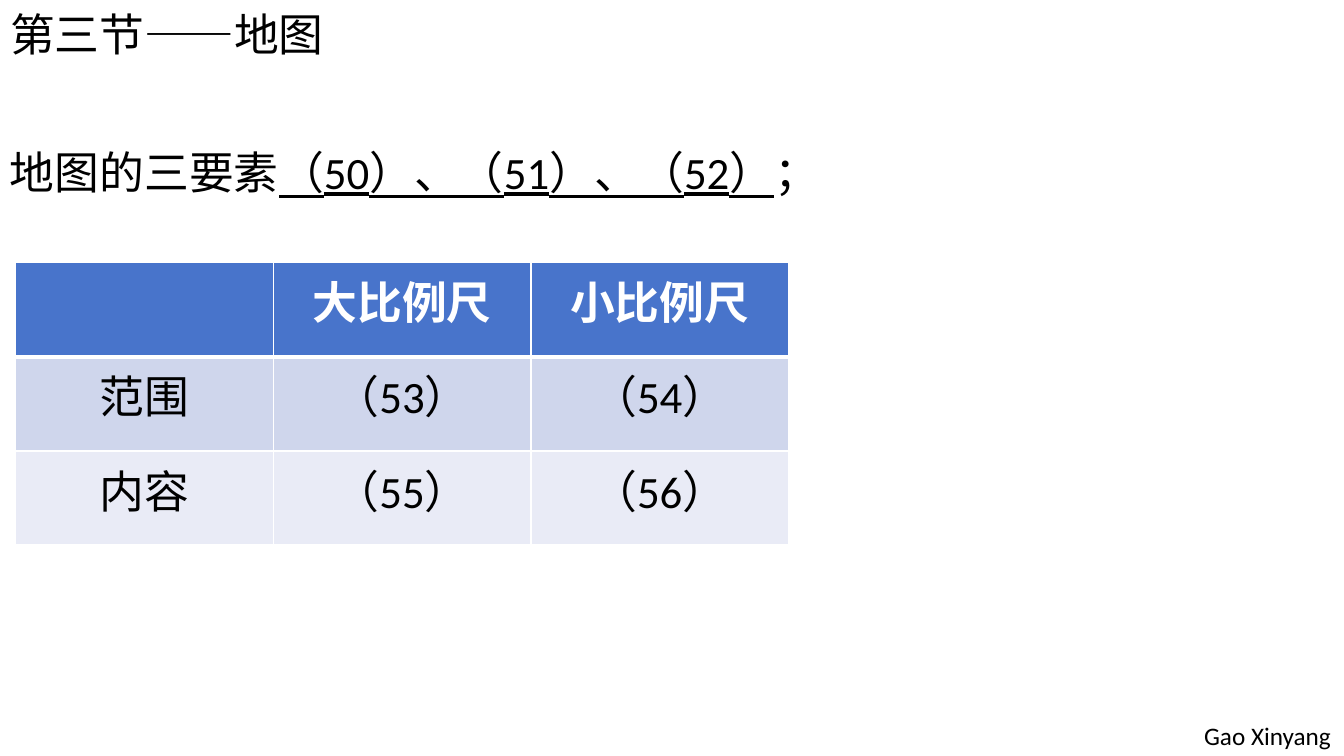
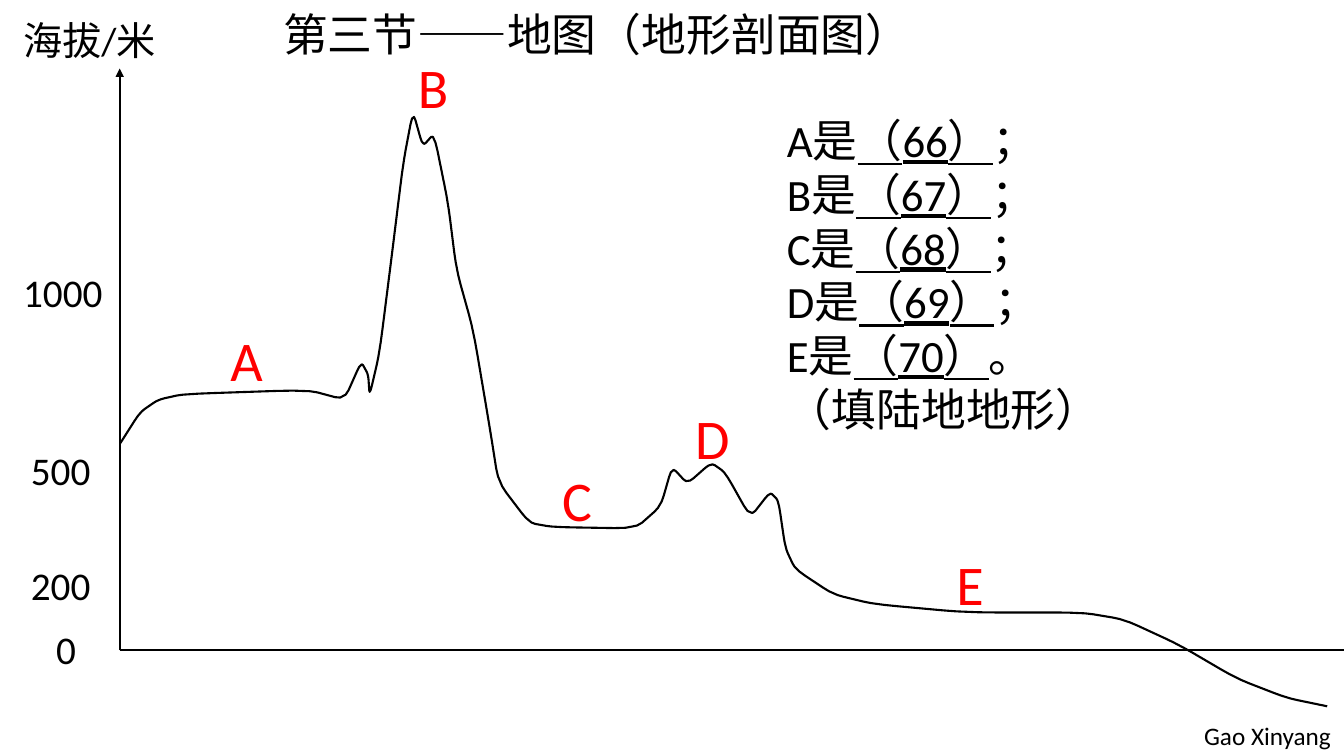
"""Build two map-lesson slides: scale table and terrain profile."""
from dataclasses import dataclass
from itertools import chain, count, pairwise

from lxml.etree import SubElement
from pptx import Presentation
from pptx.dml.color import RGBColor
from pptx.enum.shapes import MSO_CONNECTOR as CONN
from pptx.enum.text import MSO_ANCHOR as ANCHOR, MSO_AUTO_SIZE as AUTO, PP_ALIGN as ALIGN
from pptx.oxml.ns import qn
from pptx.util import Pt

W, H = 960, 540
BODY_SIZE, LABEL_SIZE, LETTER_SIZE, FOOTER_SIZE = 32, 28, 40, 18
LINE_BOX = 46
AXIS_X, AXIS_TOP, SEA_LEVEL = 85.5, 49, 464.5
LINE_WIDTH = 1.5
COLORS = {
    "ink": "000000",
    "white": "FFFFFF",
    "mark": "FF0000",
    "header": "4874CB",
    "band1": "CFD6EC",
    "band2": "E9EBF6",
}

Point = tuple[float, float]


@dataclass
class Label:
    """A short text with its box and look."""
    text: str
    left: float
    top: float
    width: float
    height: float
    size: float
    color: str = "ink"
    wrap: bool = True


@dataclass
class Landform:
    """A lettered stretch of terrain: (x, height above sea level) corners."""
    letter: str
    label_left: float
    label_top: float
    corners: list[Point]


FOOTER = Label("Gao Xinyang", 853, 511, 107, 29, FOOTER_SIZE, wrap=False)

PLATEAU = Landform("A", 157.5, 229, [
    (86, 148), (100, 170), (113, 179), (131, 183), (220, 186),
    (246, 179), (258, 206), (263, 197), (264, 182)])
MOUNTAIN = Landform("B", 291.5, 34, [
    (271, 212), (280, 283), (288, 348), (295, 385), (302, 360), (310, 369),
    (320, 320), (326, 272), (338, 229), (350, 158), (356, 120)])
BASIN = Landform("C", 394.5, 329, [(378, 91), (395, 88), (454, 87), (472, 103)])
HILLS = Landform("D", 489.5, 284.5, [
    (480, 131), (491, 119), (508, 134), (518, 127), (536, 95),
    (550, 113), (556, 107), (561, 73), (568, 58)])
PLAIN = Landform("E", 676, 389, [
    (595, 40), (624, 33), (690, 27), (773, 27), (803, 22),
    (842, 4), (883, -20), (919, -34), (948, -40)])
LANDFORMS = [PLATEAU, MOUNTAIN, BASIN, HILLS, PLAIN]


def rgb(name: str) -> RGBColor:
    """Look up a palette colour."""
    return RGBColor.from_string(COLORS[name])


def blank(number: int) -> str:
    """Write a numbered blank to fill in."""
    return f"（{number}）"


def add_run(p, text: str, size: float, color: str = "ink", font: str = "Calibri",
            bold: bool = False, underline: bool = False) -> None:
    """Append one formatted run."""
    r = p.add_run()
    r.text = text
    r.font.name, r.font.size = font, Pt(size)
    r.font.bold, r.font.underline = bold, underline
    r.font.color.rgb = rgb(color)


def add_box(s, left: float, top: float, width: float, height: float, wrap: bool = True):
    """Add an empty text box and return its text frame."""
    tf = s.shapes.add_textbox(Pt(left), Pt(top), Pt(width), Pt(height)).text_frame
    tf.word_wrap = wrap
    return tf


def add_label(s, label: Label) -> None:
    """Draw a label."""
    tf = add_box(s, label.left, label.top, label.width, label.height, label.wrap)
    add_run(tf.paragraphs[0], label.text, label.size, label.color)


def add_questions(tf, lines: list[list[str]]) -> None:
    """Write lines of stem, underlined blanks and end mark."""
    for i, parts in enumerate(lines):
        p = tf.add_paragraph() if i else tf.paragraphs[0]
        for j, text in enumerate(parts):
            add_run(p, text, BODY_SIZE, underline=j == 1)


def new_slide(prs, title: str, left: float):
    """Add a slide with its title and footer."""
    s = prs.slides.add_slide(prs.slide_layouts[5])
    sp = s.shapes.title
    sp.left, sp.top, sp.width, sp.height = Pt(left), Pt(1.5), Pt(W - left), Pt(LINE_BOX)
    tf = sp.text_frame
    tf.word_wrap, tf.auto_size, tf.vertical_anchor = True, AUTO.NONE, ANCHOR.TOP
    p = tf.paragraphs[0]
    p.alignment, p.line_spacing = ALIGN.LEFT, 1.0
    add_run(p, title, BODY_SIZE, font="Arial")
    add_label(s, FOOTER)
    return s


def style_cell(cell, fill: str, bottom: float) -> None:
    """Fill a cell and give it white borders."""
    tc_pr = cell._tc.get_or_add_tcPr()
    for tag, width in [("lnL", 1), ("lnR", 1), ("lnT", 1), ("lnB", bottom)]:
        ln = SubElement(tc_pr, qn(f"a:{tag}"), w=str(Pt(width)))
        SubElement(SubElement(ln, qn("a:solidFill")), qn("a:srgbClr"), val=COLORS["white"])
    cell.fill.solid()
    cell.fill.fore_color.rgb = rgb(fill)


def add_scale_table(s) -> None:
    """Draw the table comparing map scales, numbering its blanks in order."""
    scales, topics, numbers = ["大比例尺", "小比例尺"], ["范围", "内容"], count(53)
    rows = [["", *scales]]
    rows += [[topic, *(blank(next(numbers)) for _ in scales)] for topic in topics]
    frame = s.shapes.add_table(len(rows), len(rows[0]), Pt(11.25), Pt(187.75), Pt(552), Pt(201.6))
    for i, (fill, texts) in enumerate(zip(["header", "band1", "band2"], rows)):
        head = i == 0
        for j, text in enumerate(texts):
            cell = frame.table.cell(i, j)
            style_cell(cell, fill, 3 if head else 1)
            p = cell.text_frame.paragraphs[0]
            p.alignment = ALIGN.CENTER
            if text:
                add_run(p, text, BODY_SIZE, "white" if head else "ink", bold=head)


def add_axis(s, x2: float, y2: float, arrow: bool = False) -> None:
    """Draw an axis from the origin, with an arrowhead at its end if asked."""
    axis = s.shapes.add_connector(CONN.STRAIGHT, Pt(AXIS_X), Pt(SEA_LEVEL), Pt(x2), Pt(y2))
    axis.line.color.rgb, axis.line.width = rgb("ink"), Pt(LINE_WIDTH)
    if arrow:
        SubElement(axis.line._get_or_add_ln(), qn("a:tailEnd"),
                   type="triangle", w="med", len="med")
    SubElement(axis._element.spPr, qn("a:effectLst"))


def round_corners(points: list[Point], cut: float = 0.15) -> list[Point]:
    """Replace each inner corner by two points, a share of each side away."""
    inner = []
    for (x1, y1), (x2, y2) in pairwise(points):
        dx, dy = cut * (x2 - x1), cut * (y2 - y1)
        inner += [(x1 + dx, y1 + dy), (x2 - dx, y2 - dy)]
    return [points[0], *inner[1:-1], points[-1]]


def add_profile(s) -> None:
    """Join the landforms into one rounded outline."""
    outline = list(chain.from_iterable(form.corners for form in LANDFORMS))
    for _ in range(2):
        outline = round_corners(outline)
    start, *rest = [(Pt(x), Pt(SEA_LEVEL - height)) for x, height in outline]
    builder = s.shapes.build_freeform(*start)
    builder.add_line_segments(rest, close=False)
    sp = builder.convert_to_shape()
    sp.shadow.inherit = False
    sp.fill.background()
    sp.line.color.rgb, sp.line.width = rgb("ink"), Pt(LINE_WIDTH)


def add_profile_labels(s) -> None:
    """Label the height axis and the landforms."""
    add_label(s, Label("海拔/米", 9.5, 8, 113, 41, LABEL_SIZE))
    for text, left, top in [("1000", 9.5, 188), ("500", 15, 315.5),
                            ("200", 15, 397.5), ("0", 33, 443)]:
        add_label(s, Label(text, left, top, 77, 35, LABEL_SIZE))
    for form in LANDFORMS:
        add_label(s, Label(form.letter, form.label_left, form.label_top,
                           37.5, 55.5, LETTER_SIZE, "mark"))


def scale_slide(prs) -> None:
    """Build the slide on map elements and scales."""
    s = new_slide(prs, "第三节——地图", 0)
    blanks = "、".join(blank(number) for number in range(50, 53))
    add_questions(add_box(s, 0, 100, W, LINE_BOX), [["地图的三要素", blanks, "；"]])
    add_scale_table(s)


def profile_slide(prs) -> None:
    """Build the slide on the terrain profile."""
    s = new_slide(prs, "第三节——地图（地形剖面图）", 195)
    add_profile(s)
    add_axis(s, AXIS_X, AXIS_TOP, arrow=True)
    add_axis(s, W, SEA_LEVEL)
    add_profile_labels(s)
    lines = [[f"{form.letter}是", blank(number), "。" if form is LANDFORMS[-1] else "；"]
             for number, form in enumerate(LANDFORMS, 66)]
    add_questions(add_box(s, 555, 77, 405, 240), lines + [["（填陆地地形）"]])


def main() -> None:
    """Build and save the presentation."""
    prs = Presentation()
    prs.slide_width, prs.slide_height = Pt(W), Pt(H)
    scale_slide(prs)
    profile_slide(prs)
    prs.save("out.pptx")


if __name__ == "__main__":
    main()
